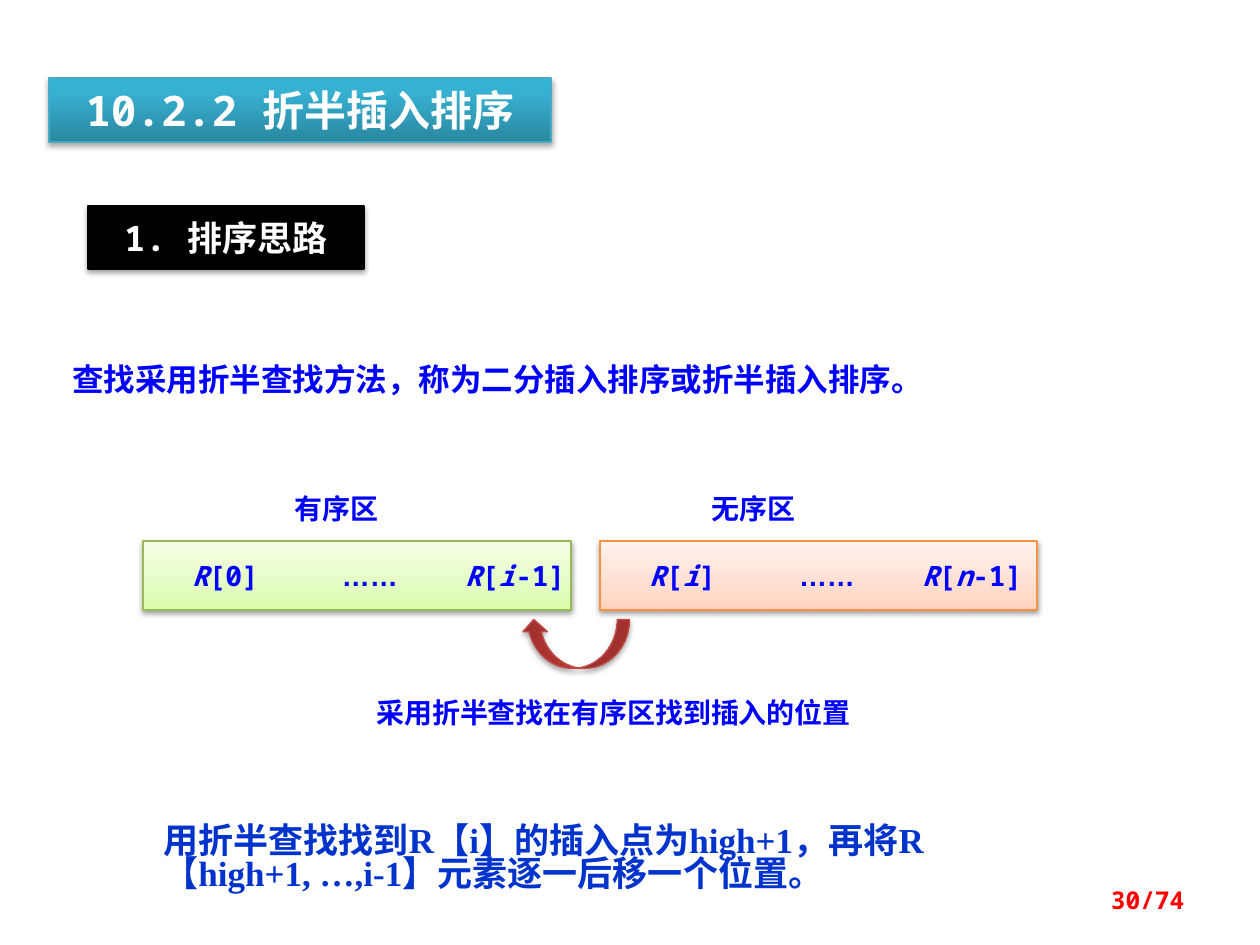
from copy import deepcopy
from dataclasses import dataclass
from itertools import groupby

from lxml.etree import SubElement
from pptx import Presentation
from pptx.dml.color import RGBColor
from pptx.enum.shapes import MSO_SHAPE as Preset
from pptx.enum.text import MSO_ANCHOR as Anchor, MSO_AUTO_SIZE as AutoSize, PP_ALIGN as Align
from pptx.oxml.ns import qn
from pptx.util import Emu, Pt


@dataclass(frozen=True)
class Theme:
    """Fonts, type sizes in points, and colours of the slide."""

    mono: str = "Noto Sans Mono"
    serif: str = "Times New Roman"
    dots: str = "Arial"
    title_size: int = 24
    heading_size: int = 20
    body_size: int = 18
    label_size: int = 16
    page_size: int = 14
    white: str = "FFFFFF"
    black: str = "000000"
    blue: str = "0000FF"
    navy: str = "0033CC"
    red: str = "FF0000"
    teal_line: str = "46AAC5"
    green_line: str = "98B955"
    orange_line: str = "F69240"
    brick_line: str = "BF4C48"
    teal: tuple = ((0, "2A88A2"), (0.8, "37B1D2"), (1, "34B4D6"))
    green: tuple = ((0, "DAFDA7"), (0.35, "E4FCC2"), (1, "F5FFE7"))
    orange: tuple = ((0, "FFD2BD"), (0.35, "FFDED0"), (1, "FFF2ED"))
    brick: tuple = ((0, "9C2F2D"), (0.8, "CB3E3A"), (1, "CE3B37"))


THEME = Theme()
INDENT, TAB_STOPS = 49, (150, 273)


def px(length):
    """Turn slide pixels into EMU."""
    return Emu(round(length * 914400 / 126))


def place(shape, box):
    """Move and size a shape to a pixel box."""
    shape.left, shape.top, shape.width, shape.height = map(px, box)


def style_font(font, size, color, name=THEME.mono, italic=False):
    """Apply bold type in the given face, size and colour."""
    font.name, font.size, font.bold, font.italic = name, Pt(size), True, italic
    font.color.rgb = RGBColor.from_string(color)


def write(shape, words, size, color, name=THEME.mono, align=Align.LEFT, anchor=Anchor.TOP):
    """Set one wrapped paragraph of uniform text and return it."""
    frame = shape.text_frame
    frame.text = words
    frame.word_wrap, frame.auto_size, frame.vertical_anchor = True, AutoSize.NONE, anchor
    paragraph = frame.paragraphs[0]
    paragraph.alignment = align
    for run in paragraph.runs:
        style_font(run.font, size, color, name)
    return paragraph


def add_text(slide, box, words, size, color, **options):
    """Add a text box and return its paragraph."""
    return write(slide.shapes.add_textbox(*map(px, box)), words, size, color, **options)


def paint_gradient(shape, stops):
    """Fill a shape from bottom to top with colour stops."""
    fill = shape.fill
    fill.gradient()
    fill.gradient_angle = 90
    stop_list = shape._element.spPr.find(".//" + qn("a:gsLst"))
    while len(stop_list) < len(stops):
        stop_list.append(deepcopy(stop_list[0]))
    for stop, (position, color) in zip(fill.gradient_stops, stops):
        stop.position = position
        stop.color.rgb = RGBColor.from_string(color)


def cast_shadow(shape, distance, opacity):
    """Drop a soft black shadow below a shape."""
    shape.shadow.inherit = False
    effects = shape._element.spPr.find(qn("a:effectLst"))
    shadow = SubElement(effects, qn("a:outerShdw"), blurRad="40000", dist=str(distance),
                        dir="5400000", rotWithShape="0")
    color = SubElement(shadow, qn("a:srgbClr"), val=THEME.black)
    SubElement(color, qn("a:alpha"), val=str(opacity * 1000))


def decorate(shape, fill, line, distance=23000, opacity=35):
    """Give a shape its fill, thin outline and shadow."""
    if isinstance(fill, str):
        shape.fill.solid()
        shape.fill.fore_color.rgb = RGBColor.from_string(fill)
    else:
        paint_gradient(shape, fill)
    shape.line.color.rgb = RGBColor.from_string(line)
    shape.line.width = Pt(0.75)
    cast_shadow(shape, distance, opacity)


def add_title(slide):
    """Fill the title placeholder as a banner."""
    title = slide.shapes.title
    place(title, (49, 78, 502, 64))
    decorate(title, THEME.teal, THEME.teal_line)
    write(title, "10.2.2 折半插入排序", THEME.title_size, THEME.white,
          align=Align.CENTER, anchor=Anchor.MIDDLE)


def add_heading(slide):
    """Add the black section heading."""
    heading = slide.shapes.add_shape(Preset.RECTANGLE, *map(px, (88, 206, 276, 63)))
    decorate(heading, THEME.black, THEME.black)
    write(heading, "1. 排序思路", THEME.heading_size, THEME.white,
          align=Align.CENTER, anchor=Anchor.MIDDLE)


def add_zone(slide, left, width, label, label_left, records, fill, line):
    """Add a labelled array zone with its records on tab stops."""
    add_text(slide, (label_left, 485, 159, 47), label, THEME.label_size, THEME.blue)
    zone = slide.shapes.add_shape(Preset.RECTANGLE, *map(px, (left, 541, width, 69)))
    decorate(zone, fill, line, 20000, 38)
    paragraph = write(zone, "", THEME.label_size, THEME.blue, anchor=Anchor.MIDDLE)
    zone.text_frame.margin_left, zone.text_frame.margin_right = px(INDENT), 0
    tabs = SubElement(paragraph._p.get_or_add_pPr(), qn("a:tabLst"))
    for stop in TAB_STOPS:
        SubElement(tabs, qn("a:tab"), pos=str(px(stop)), algn="l")
    for (italic, dotted), letters in groupby(records, lambda c: (c.isalpha(), c == "…")):
        run = paragraph.add_run()
        run.text = "".join(letters)
        face = THEME.dots if dotted else THEME.mono
        style_font(run.font, THEME.label_size, THEME.blue, face, italic)


def add_insertion_arrow(slide):
    """Add the curved arrow from the unsorted to the sorted zone."""
    arrow = slide.shapes.add_shape(Preset.CURVED_LEFT_ARROW, *map(px, (551, 590, 49, 108)))
    arrow.rotation = 90
    decorate(arrow, THEME.brick, THEME.brick_line)


def main():
    """Build the slide and save it."""
    deck = Presentation()
    deck.slide_width, deck.slide_height = px(1260), px(945)
    slide = deck.slides.add_slide(deck.slide_layouts[5])
    add_title(slide)
    add_heading(slide)
    add_text(slide, (60, 354, 925, 50), "查找采用折半查找方法，称为二分插入排序或折半插入排序。",
             THEME.body_size, THEME.blue)
    add_zone(slide, 143, 428, "有序区", 282, "R[0]\t……\tR[i-1]", THEME.green, THEME.green_line)
    add_zone(slide, 600, 437, "无序区", 699, "R[i]\t……\tR[n-1]", THEME.orange, THEME.orange_line)
    add_text(slide, (364, 689, 532, 47), "采用折半查找在有序区找到插入的位置",
             THEME.label_size, THEME.blue)
    add_insertion_arrow(slide)
    add_text(slide, (903, 875, 294, 50), "30/74", THEME.page_size, THEME.red,
             align=Align.RIGHT, anchor=Anchor.MIDDLE)
    conclusion = add_text(
        slide, (151, 820, 911, 81),
        "用折半查找找到R【i】的插入点为high+1，再将R【high+1, …,i-1】元素逐一后移一个位置。",
        THEME.heading_size, THEME.navy, name=THEME.serif)
    conclusion.line_spacing = 0.8
    deck.save("out.pptx")


if __name__ == "__main__":
    main()
